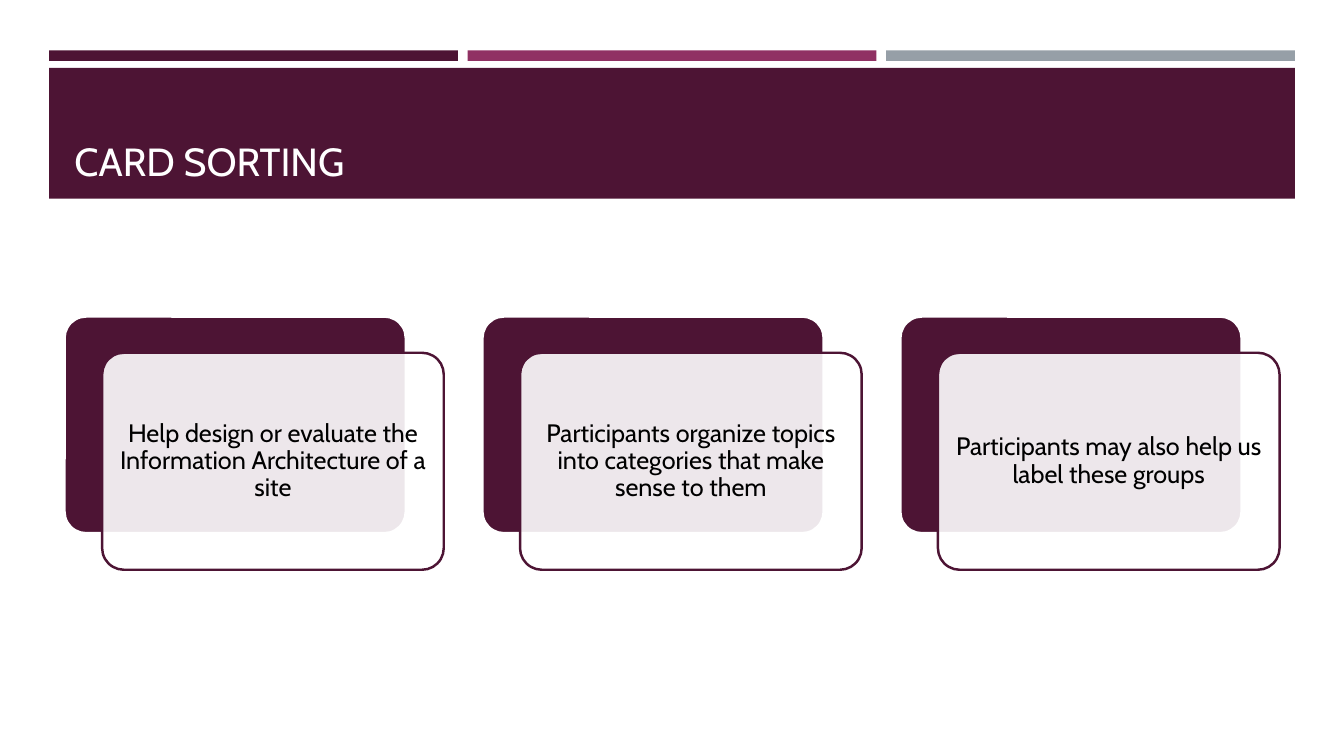
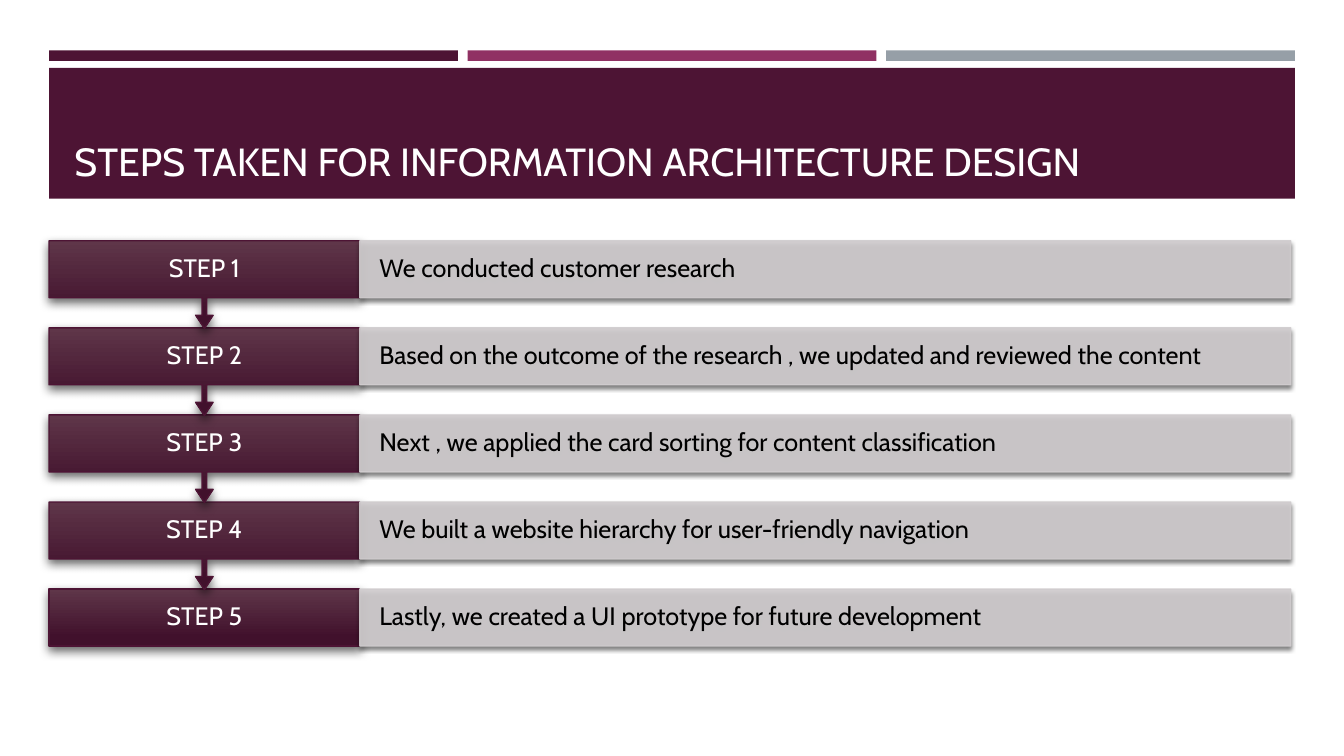
from dataclasses import dataclass

from pptx import Presentation
from pptx.dml.color import RGBColor
from pptx.enum.shapes import MSO_SHAPE
from pptx.enum.text import MSO_ANCHOR, MSO_AUTO_SIZE, PP_ALIGN
from pptx.oxml.ns import qn
from pptx.oxml.xmlchemy import OxmlElement
from pptx.util import Pt

RECTANGLE = MSO_SHAPE.RECTANGLE
ROUNDED = MSO_SHAPE.ROUNDED_RECTANGLE
CALLOUT = MSO_SHAPE.DOWN_ARROW_CALLOUT
MIDDLE, BOTTOM = MSO_ANCHOR.MIDDLE, MSO_ANCHOR.BOTTOM
LEFT, CENTER = PP_ALIGN.LEFT, PP_ALIGN.CENTER
NO_AUTOFIT = MSO_AUTO_SIZE.NONE
TITLE_ONLY = 5


@dataclass(frozen=True)
class Theme:
    font: str = "Cabin"
    title_size: float = 28
    body_size: float = 18
    plum: str = "4D1434"
    berry: str = "903163"
    slate: str = "969FA7"
    plum_light: str = "5F3649"
    plum_dark: str = "41112C"
    mist: str = "D0CCCE"
    white: str = "FFFFFF"
    black: str = "000000"


THEME = Theme()


class Deck:
    """Holds the style, the presentation and the current slide."""

    margin = 35
    content_width = 890

    def __init__(self, theme):
        self.theme = theme
        self.presentation = Presentation()
        self.presentation.slide_width = Pt(960)
        self.presentation.slide_height = Pt(540)
        self.layout = self.presentation.slide_layouts[TITLE_ONLY]
        self.slide = None

    # Slide frame
    def add_slide(self, title):
        first = self.slide is None
        self.slide = self.presentation.slides.add_slide(self.layout)
        if first:
            self.add_bands_to_layout()
        placeholder = self.slide.shapes.title
        placeholder.left, placeholder.top = Pt(46), Pt(55.5)
        placeholder.width, placeholder.height = Pt(868.5), Pt(80)
        self.set_text(placeholder, title, self.theme.white, LEFT,
                      size=self.theme.title_size, anchor=BOTTOM,
                      insets=(7.2, 3.6), spacing=1)

    def add_bands_to_layout(self):
        theme, gap = self.theme, 7
        width = (self.content_width - 2 * gap) / 3
        bands = [self.add_box(RECTANGLE, self.margin + i * (width + gap),
                              36, width, 7.5, color)
                 for i, color in enumerate((theme.plum, theme.berry, theme.slate))]
        bands.append(self.add_box(RECTANGLE, self.margin, 48.5,
                                  self.content_width, 93.5, theme.plum))
        for band in bands:
            self.layout.shapes.element.append(band.element)

    # Basic elements
    def add_box(self, kind, left, top, width, height, fill,
                line=None, line_width=1.0):
        shape = self.slide.shapes.add_shape(
            kind, Pt(left), Pt(top), Pt(width), Pt(height))
        shape.shadow.inherit = False
        shape.fill.solid()
        shape.fill.fore_color.rgb = RGBColor.from_string(fill)
        if line:
            shape.line.color.rgb = RGBColor.from_string(line)
            shape.line.width = Pt(line_width)
        else:
            shape.line.fill.background()
        return shape

    def set_text(self, shape, text, color, alignment, size=None, anchor=MIDDLE,
                 insets=(0, 0), spacing=0.9):
        frame = shape.text_frame
        frame.text = text
        frame.word_wrap = True
        frame.auto_size = NO_AUTOFIT
        frame.vertical_anchor = anchor
        frame.margin_left = frame.margin_right = Pt(insets[0])
        frame.margin_top = frame.margin_bottom = Pt(insets[1])
        paragraph = frame.paragraphs[0]
        paragraph.alignment = alignment
        paragraph.line_spacing = spacing
        for run in paragraph.runs:
            run.font.name = self.theme.font
            run.font.size = Pt(size or self.theme.body_size)
            run.font.color.rgb = RGBColor.from_string(color)

    # Effects that need XML
    def add_alpha(self, color_element, percent):
        alpha = OxmlElement("a:alpha")
        alpha.set("val", str(percent * 1000))
        color_element.append(alpha)

    def make_translucent(self, part, percent):
        self.add_alpha(part.find(f"{qn('a:solidFill')}/{qn('a:srgbClr')}"), percent)

    def add_shadow(self, shape, opacity, blur, distance, angle):
        shadow = OxmlElement("a:outerShdw")
        for name, value in (("blurRad", Pt(blur)), ("dist", Pt(distance)),
                            ("dir", angle * 60000), ("rotWithShape", 0)):
            shadow.set(name, str(int(value)))
        color = OxmlElement("a:srgbClr")
        color.set("val", self.theme.black)
        self.add_alpha(color, opacity)
        shadow.append(color)
        shape.element.spPr.find(qn("a:effectLst")).append(shadow)

    # Slide elements
    def add_card(self, left, top, text):
        theme, width, height = self.theme, 244, 155
        back = self.add_box(ROUNDED, left, top, width, height,
                            theme.plum, theme.white, 2)
        front = self.add_box(ROUNDED, left + 27, top + 26, width, height,
                             theme.white, theme.plum, 1.75)
        for card in (back, front):
            card.adjustments[0] = 0.1
        self.make_translucent(front.element.spPr, 90)
        self.set_text(front, text, theme.black, CENTER, insets=(5, 5))

    def add_step(self, top, label, detail, is_last):
        theme, label_width, callout_height, box_share = self.theme, 222, 62.6, 0.65
        box_height = callout_height * box_share
        step = self.add_box(RECTANGLE if is_last else CALLOUT, self.margin, top,
                            label_width, box_height if is_last else callout_height,
                            theme.plum, theme.plum)
        if not is_last:
            for i, value in enumerate((0.05, 0.1, 0.15, box_share)):
                step.adjustments[i] = value
        step.fill.gradient()
        step.fill.gradient_angle = 270
        stops = ((0, theme.plum_light), (0.84, theme.plum_dark))
        for stop, (position, color) in zip(step.fill.gradient_stops, stops):
            stop.position = position
            stop.color.rgb = RGBColor.from_string(color)
        self.add_shadow(step, 60, 7, 3, 84)
        self.set_text(step, label, theme.white, CENTER)

        bar = self.add_box(RECTANGLE, self.margin + label_width, top, 665,
                           box_height, theme.mist, theme.mist)
        properties = bar.element.spPr
        for part in (properties, properties.find(qn("a:ln"))):
            self.make_translucent(part, 90)
        self.add_shadow(bar, 55, 3, 2, 90)
        self.set_text(bar, detail, theme.black, LEFT, insets=(14, 0))


def main():
    deck = Deck(THEME)

    # Card sorting
    deck.add_slide("CARD SORTING")
    cards = (
        "Help design or evaluate the Information Architecture of a site",
        "Participants organize topics into categories that make sense to them",
        "Participants may also help us label these groups",
    )
    for i, text in enumerate(cards):
        deck.add_card(46 + i * 298.5, 226, text)

    # Design steps, last one at the back so that the arrows stay in front
    deck.add_slide("STEPS TAKEN FOR INFORMATION ARCHITECTURE DESIGN")
    details = (
        "We conducted customer research",
        "Based on the outcome of the research , we updated and reviewed the content",
        "Next , we applied the card sorting for content classification",
        "We built a website hierarchy for user-friendly navigation",
        "Lastly, we created a UI prototype for future development",
    )
    count = len(details)
    for number in range(count, 0, -1):
        deck.add_step(172 + (number - 1) * 62.2, f"STEP {number}",
                      details[number - 1], number == count)

    deck.presentation.save("out.pptx")


if __name__ == "__main__":
    main()
